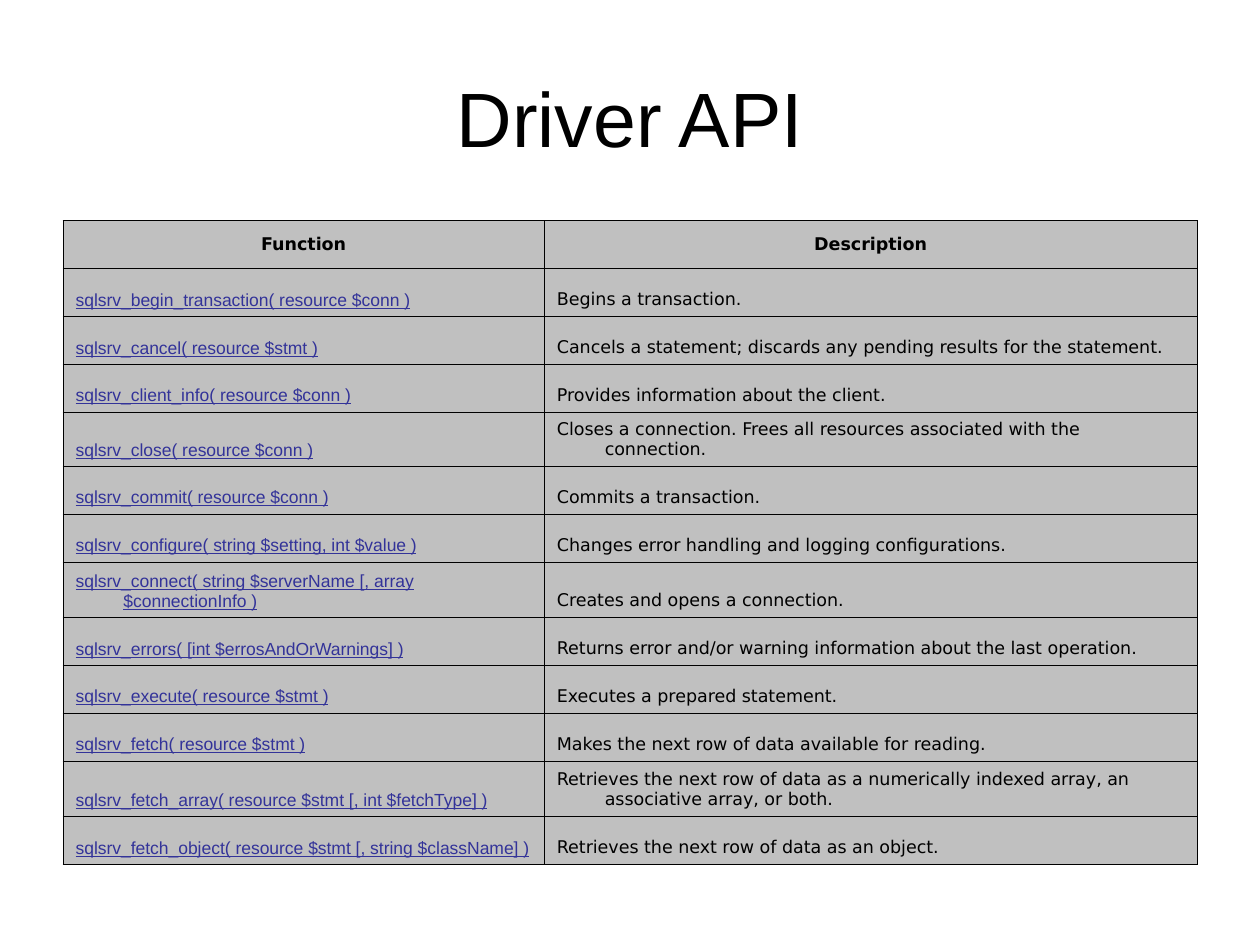
from pptx import Presentation
from pptx.dml.color import RGBColor
from pptx.enum.text import MSO_ANCHOR as Anchor, MSO_AUTO_SIZE as AutoSize, PP_ALIGN as Align
from pptx.oxml.ns import qn
from pptx.util import Inches, Pt
from lxml.etree import SubElement

COLORS = {"text": "000000", "link": "333399", "cell": "C0C0C0", "border": "000000"}
HANGING = Inches(0.38)
ROW_HEIGHT = 0.38
TALL_ROWS = {4: 0.43, 7: 0.44, 11: 0.44}
COLUMN_WIDTHS = (3.82, 5.18)

HEADINGS = ("Function", "Description")
FUNCTIONS = [
    ("sqlsrv_begin_transaction( resource $conn )", "Begins a transaction."),
    ("sqlsrv_cancel( resource $stmt )",
     "Cancels a statement; discards any pending results for the statement."),
    ("sqlsrv_client_info( resource $conn )", "Provides information about the client."),
    ("sqlsrv_close( resource $conn )",
     "Closes a connection. Frees all resources associated with the connection."),
    ("sqlsrv_commit( resource $conn )", "Commits a transaction."),
    ("sqlsrv_configure( string $setting, int $value )",
     "Changes error handling and logging configurations."),
    ("sqlsrv_connect( string $serverName [, array $connectionInfo )",
     "Creates and opens a connection."),
    ("sqlsrv_errors( [int $errosAndOrWarnings] )",
     "Returns error and/or warning information about the last operation."),
    ("sqlsrv_execute( resource $stmt )", "Executes a prepared statement."),
    ("sqlsrv_fetch( resource $stmt )", "Makes the next row of data available for reading."),
    ("sqlsrv_fetch_array( resource $stmt [, int $fetchType] )",
     "Retrieves the next row of data as a numerically indexed array, "
     "an associative array, or both."),
    ("sqlsrv_fetch_object( resource $stmt [, string $className] )",
     "Retrieves the next row of data as an object."),
]


def write_text(frame, text, *, size, font, color="text", bold=False,
               underline=False, align=Align.LEFT, hanging=0):
    para = frame.paragraphs[0]
    para.alignment = align
    if hanging:
        properties = para._p.get_or_add_pPr()
        properties.set("marL", str(hanging))
        properties.set("indent", str(-hanging))
    span = para.add_run()
    span.text = text
    span.font.size = Pt(size)
    span.font.name = font
    span.font.bold = bold
    span.font.underline = underline
    span.font.color.rgb = RGBColor.from_string(COLORS[color])


def style_cell(cell, anchor):
    cell.vertical_anchor = anchor
    properties = cell._tc.get_or_add_tcPr()
    # Borders come before the fill in the cell properties
    for side in ("a:lnL", "a:lnR", "a:lnT", "a:lnB"):
        line = SubElement(properties, qn(side), w=str(Pt(0.45)))
        fill = SubElement(line, qn("a:solidFill"))
        SubElement(fill, qn("a:srgbClr"), val=COLORS["border"])
    cell.fill.solid()
    cell.fill.fore_color.rgb = RGBColor.from_string(COLORS["cell"])


def place_title(page, left, top, width, height):
    title = page.shapes.title
    title.left, title.top, title.width, title.height = map(Inches, (left, top, width, height))
    frame = title.text_frame
    frame.auto_size = AutoSize.NONE
    frame.vertical_anchor = Anchor.MIDDLE
    write_text(frame, "Driver API", size=44, font="Arial", align=Align.CENTER)


def place_function_table(page, left, top, width, height):
    rows = [HEADINGS, *FUNCTIONS]
    table = page.shapes.add_table(
        len(rows), len(HEADINGS), *map(Inches, (left, top, width, height))).table
    table.first_row = table.horz_banding = False
    for column, share in zip(table.columns, COLUMN_WIDTHS):
        column.width = Inches(width * share / sum(COLUMN_WIDTHS))

    for row_index, texts in enumerate(rows):
        table.rows[row_index].height = Inches(TALL_ROWS.get(row_index, ROW_HEIGHT))
        heading = row_index == 0
        for column_index, text in enumerate(texts):
            link = column_index == 0 and not heading
            cell = table.cell(row_index, column_index)
            style_cell(cell, Anchor.MIDDLE if heading else Anchor.BOTTOM)
            write_text(cell.text_frame, text, size=10, hanging=HANGING,
                       font="Arial" if link else "DejaVu Sans",
                       color="link" if link else "text",
                       bold=heading, underline=link,
                       align=Align.CENTER if heading else Align.LEFT)


def main():
    deck = Presentation()
    deck.slide_width, deck.slide_height = Inches(10), Inches(7.5)
    page = deck.slides.add_slide(deck.slide_layouts[5])
    place_title(page, 0.5, 0.3, 9, 1.25)
    place_function_table(page, 0.5, 1.75, 9, 5.1)
    deck.save("out.pptx")


if __name__ == "__main__":
    main()
